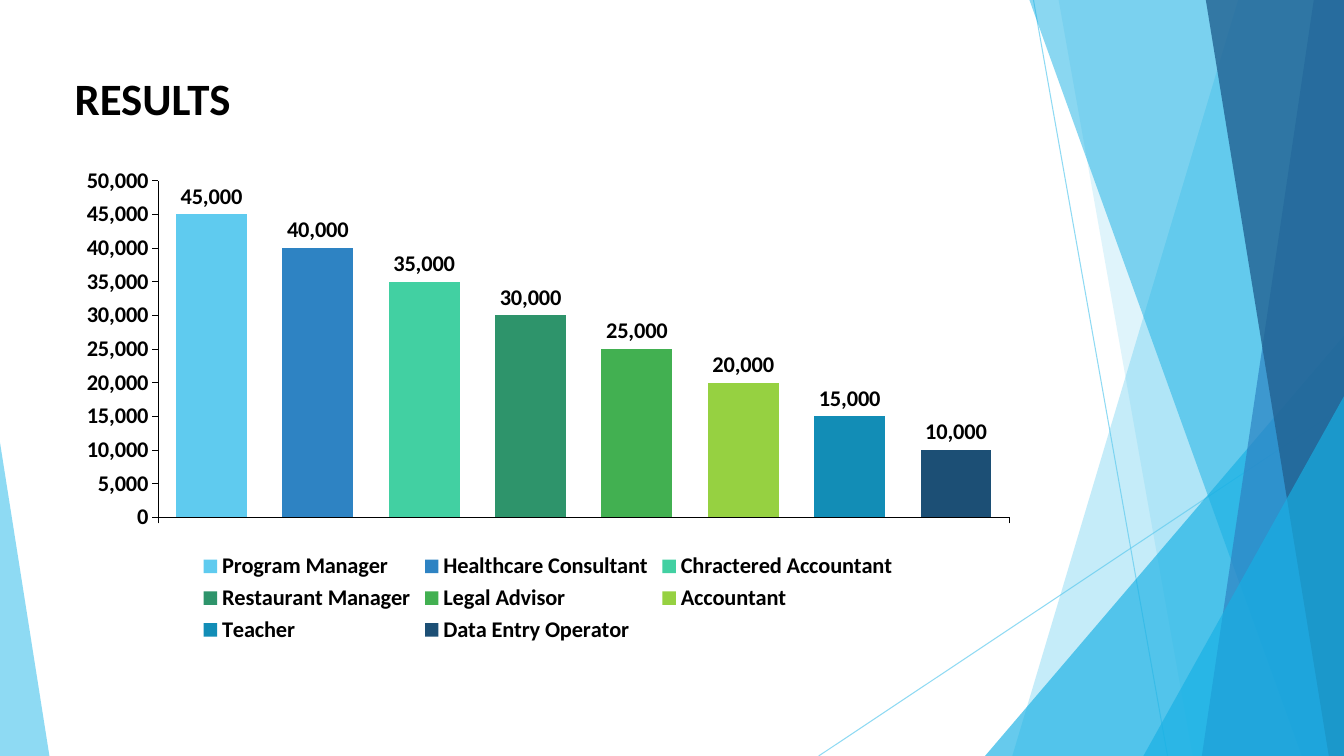
from lxml import etree
from pptx import Presentation
from pptx.chart.data import CategoryChartData
from pptx.dml.color import RGBColor
from pptx.enum.chart import (XL_CHART_TYPE, XL_LABEL_POSITION, XL_LEGEND_POSITION,
                             XL_TICK_LABEL_POSITION, XL_TICK_MARK)
from pptx.enum.shapes import MSO_CONNECTOR, MSO_SHAPE
from pptx.enum.text import MSO_ANCHOR, PP_ALIGN
from pptx.oxml.ns import qn
from pptx.util import Inches, Pt

COLUMNS = XL_CHART_TYPE.COLUMN_CLUSTERED
OUTSIDE_END = XL_LABEL_POSITION.OUTSIDE_END
LEGEND_BOTTOM = XL_LEGEND_POSITION.BOTTOM
NO_LABELS = XL_TICK_LABEL_POSITION.NONE
TICK_OUT, TICK_NONE = XL_TICK_MARK.OUTSIDE, XL_TICK_MARK.NONE
STRAIGHT = MSO_CONNECTOR.STRAIGHT
TRIANGLE = MSO_SHAPE.ISOSCELES_TRIANGLE
MIDDLE, LEFT = MSO_ANCHOR.MIDDLE, PP_ALIGN.LEFT

BLACK = RGBColor(0x00, 0x00, 0x00)
SKY = RGBColor(0x5F, 0xCB, 0xEF)
CYAN = RGBColor(0x17, 0xB0, 0xE4)
BLUE = RGBColor(0x2E, 0x83, 0xC3)
NAVY = RGBColor(0x22, 0x62, 0x92)
MINT = RGBColor(0x42, 0xD0, 0xA2)
TEAL = RGBColor(0x2E, 0x94, 0x6B)
GREEN = RGBColor(0x42, 0xB0, 0x51)
LIME = RGBColor(0x96, 0xD1, 0x41)
OCEAN = RGBColor(0x12, 0x8D, 0xB6)
MIDNIGHT = RGBColor(0x1C, 0x4F, 0x75)

WIDTH, HEIGHT = 13.33, 7.5
NUMBER_FORMAT = "#,##0"
SALARIES = [
    ("Program Manager", 45000, SKY),
    ("Healthcare Consultant", 40000, BLUE),
    ("Chractered Accountant", 35000, MINT),
    ("Restaurant Manager", 30000, TEAL),
    ("Legal Advisor", 25000, GREEN),
    ("Accountant", 20000, LIME),
    ("Teacher", 15000, OCEAN),
    ("Data Entry Operator", 10000, MIDNIGHT),
]


def set_alpha(fill, percent):
    """Make the solid fill inside the given XML element translucent."""
    color = fill.find(".//" + qn("a:srgbClr"))
    etree.SubElement(color, qn("a:alpha"), val=str(percent * 1000))


class SlideBuilder:
    font_name = "Calibri"

    def __init__(self, prs):
        self.slide = prs.slides.add_slide(prs.slide_layouts[5])
        self.shapes = self.slide.shapes

    def style_font(self, font, size):
        font.name = self.font_name
        font.size = Pt(size)
        font.bold = True
        font.color.rgb = BLACK

    def paint(self, sp, color, alpha):
        sp.shadow.inherit = False
        sp.fill.solid()
        sp.fill.fore_color.rgb = color
        sp.line.fill.background()
        set_alpha(sp._element.spPr, alpha)

    def line(self, x1, y1, x2, y2, color, alpha):
        cxn = self.shapes.add_connector(
            STRAIGHT, Inches(x1), Inches(y1), Inches(x2), Inches(y2))
        cxn.line.color.rgb = color
        cxn.line.width = Pt(0.75)
        sp_pr = cxn._element.spPr
        set_alpha(sp_pr, alpha)
        etree.SubElement(sp_pr, qn("a:effectLst"))

    def band(self, top_x, bottom_x, color, alpha):
        """Fill from a slanted left edge to the right side of the slide."""
        corners = [(WIDTH, 0), (WIDTH, HEIGHT), (bottom_x, HEIGHT)]
        builder = self.shapes.build_freeform(Inches(top_x), 0)
        builder.add_line_segments([(Inches(x), Inches(y)) for x, y in corners])
        self.paint(builder.convert_to_shape(), color, alpha)

    def triangle(self, left, top, width, apex, color, alpha):
        """Right triangle standing on the bottom edge of the slide."""
        sp = self.shapes.add_shape(TRIANGLE, Inches(left), Inches(top),
                                   Inches(width), Inches(HEIGHT - top))
        sp.adjustments[0] = apex
        self.paint(sp, color, alpha)

    def title(self, text, left, top, width, height):
        sp = self.shapes.title
        sp.left, sp.top = Inches(left), Inches(top)
        sp.width, sp.height = Inches(width), Inches(height)
        tf = sp.text_frame
        tf.text = text
        tf.word_wrap = True
        tf.vertical_anchor = MIDDLE
        p = tf.paragraphs[0]
        p.alignment = LEFT
        self.style_font(p.font, 32)

    def axis(self, axis):
        axis.has_major_gridlines = False
        axis.major_tick_mark = TICK_OUT
        axis.minor_tick_mark = TICK_NONE
        axis.format.line.color.rgb = BLACK
        axis.format.line.width = Pt(0.75)
        self.style_font(axis.tick_labels.font, 16)

    def column_chart(self, rows, left, top, width, height):
        data = CategoryChartData(number_format=NUMBER_FORMAT)
        data.categories = ["1"]
        for name, value, _ in rows:
            data.add_series(name, [value])
        chart = self.shapes.add_chart(COLUMNS, Inches(left), Inches(top),
                                      Inches(width), Inches(height), data).chart
        self.style_font(chart.font, 16)
        chart.has_title = False
        chart.has_legend = True
        chart.legend.position = LEGEND_BOTTOM
        chart.legend.include_in_layout = False
        self.style_font(chart.legend.font, 16)

        self.axis(chart.category_axis)
        chart.category_axis.tick_label_position = NO_LABELS
        values = chart.value_axis
        self.axis(values)
        values.minimum_scale, values.maximum_scale = 0, 50000
        values.major_unit = 5000
        values.tick_labels.number_format = NUMBER_FORMAT
        values.tick_labels.number_format_is_linked = False

        plot = chart.plots[0]
        plot.gap_width, plot.overlap = 50, -50
        plot.vary_by_categories = False
        for series, (_, _, color) in zip(plot.series, rows):
            series.format.fill.solid()
            series.format.fill.fore_color.rgb = color
            labels = series.data_labels
            labels.show_value = True
            labels.position = OUTSIDE_END
            labels.number_format = NUMBER_FORMAT
            labels.number_format_is_linked = False
            self.style_font(labels.font, 16)


def main():
    prs = Presentation()
    prs.slide_width, prs.slide_height = Inches(WIDTH), Inches(HEIGHT)
    s = SlideBuilder(prs)

    s.line(10.25, 0, 11.58, HEIGHT, SKY, 70)
    s.line(WIDTH, 4.03, 8.12, HEIGHT, SKY, 70)
    s.band(12.28, 10.04, SKY, 36)
    s.band(10.5, 11.83, SKY, 20)
    s.triangle(9.77, 3.33, 3.56, 1, CYAN, 66)
    s.band(10.21, 12.91, CYAN, 50)
    s.band(13.03, 11.92, BLUE, 70)
    s.band(11.96, 13.18, NAVY, 80)
    s.triangle(11.34, 3.93, 1.99, 1, CYAN, 66)
    s.triangle(0, 4.39, 0.49, 0, SKY, 70)

    s.title("RESULTS", 0.64, 0.65, 7.59, 0.64)
    s.column_chart(SALARIES, 0.67, 1.56, 9.53, 4.87)
    prs.save("out.pptx")


if __name__ == "__main__":
    main()
